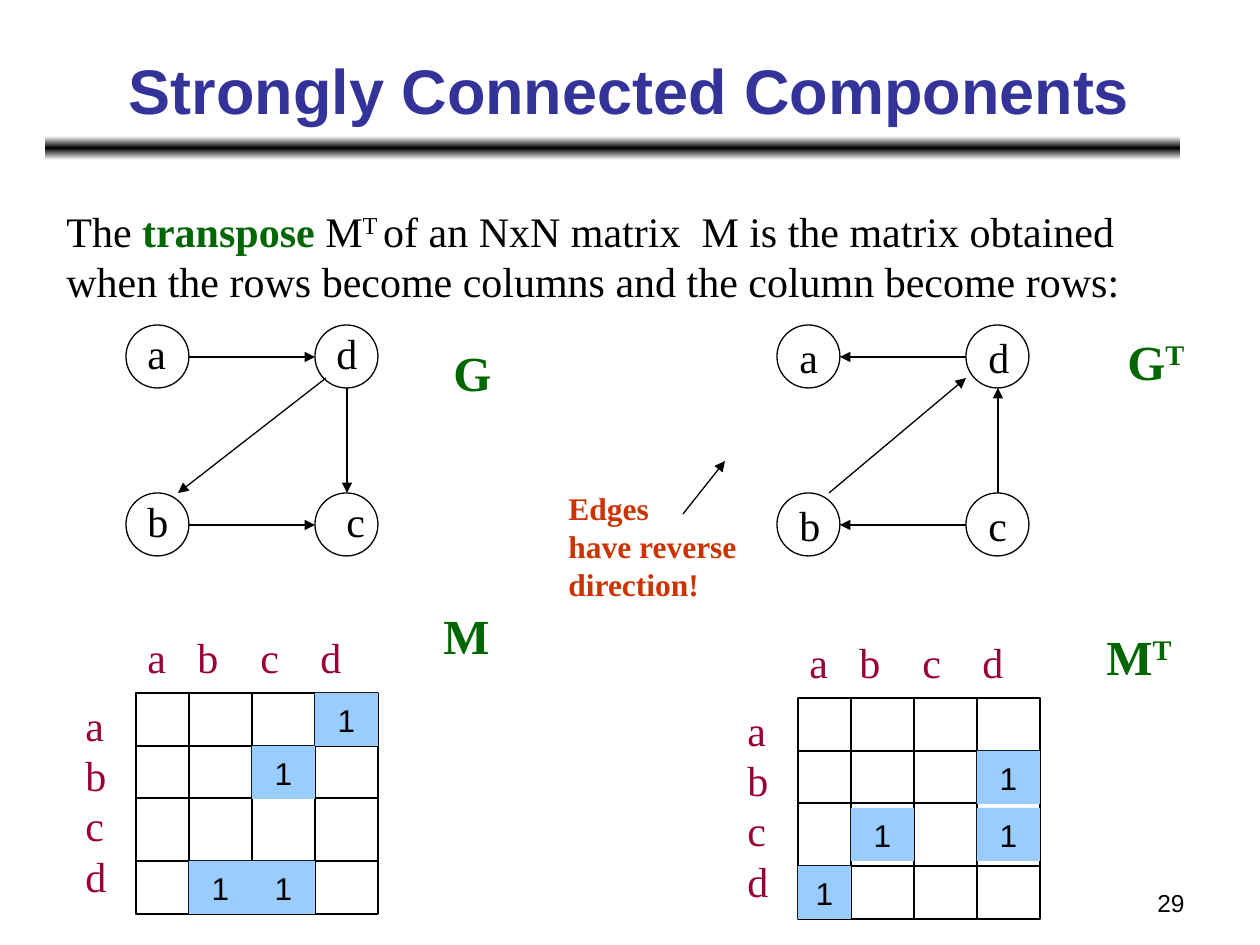
import copy
import itertools

import pptx
import pptx.dml.color
import pptx.enum.shapes
import pptx.enum.text
import pptx.oxml
import pptx.oxml.ns
import pptx.util

PX = 914400 / 126
SERIF, SANS = "Times New Roman", "Arial"
COLORS = {
    "ink": "000000",
    "paper": "FFFFFF",
    "title": "333399",
    "green": "006600",
    "label": "990033",
    "note": "CC3300",
    "mark": "99CCFF",
}
SHAPE = pptx.enum.shapes.MSO_SHAPE
ALIGN = pptx.enum.text.PP_ALIGN
MIDDLE = pptx.enum.text.MSO_ANCHOR.MIDDLE
GROW = pptx.enum.text.MSO_AUTO_SIZE.SHAPE_TO_FIT_TEXT
qn = pptx.oxml.ns.qn


def px(n):
    return pptx.util.Emu(round(n * PX))


def rgb(name):
    return pptx.dml.color.RGBColor.from_string(COLORS[name])


def add_run(p, text, size=24, font=SERIF, color="ink", bold=False, sup=False):
    r = p.add_run()
    r.text = text
    r.font.size = pptx.util.Pt(size)
    r.font.name = font
    r.font.bold = bold
    r.font.color.rgb = rgb(color)
    if sup:
        r._r.get_or_add_rPr().set("baseline", "30000")


class Deck:
    def __init__(self, width, height):
        self.prs = pptx.Presentation()
        self.prs.slide_width, self.prs.slide_height = px(width), px(height)
        self.s = self.prs.slides.add_slide(self.prs.slide_layouts[6])

    def fill_text(self, sp, lines, align=None, anchor=None, wrap=False, tabs=(), **fmt):
        tf = sp.text_frame
        tf.word_wrap = wrap
        if anchor is not None:
            tf.vertical_anchor = anchor
        for i, line in enumerate(lines):
            p = tf.paragraphs[0] if i == 0 else tf.add_paragraph()
            p.alignment = align
            if tabs:
                tab_list = p._p.get_or_add_pPr().makeelement(qn("a:tabLst"), {})
                for pos in tabs:
                    tab = tab_list.makeelement(qn("a:tab"), {"pos": str(px(pos)), "algn": "l"})
                    tab_list.append(tab)
                p._p.get_or_add_pPr().append(tab_list)
            runs = [(line, {})] if isinstance(line, str) else line
            for text, own in runs:
                add_run(p, text, **{**fmt, **own})

    def text(self, x, y, w, h, lines, wrap=False, **fmt):
        sp = self.s.shapes.add_textbox(px(x), px(y), px(w), px(h))
        self.fill_text(sp, lines, wrap=wrap, **fmt)
        if not wrap:
            sp.text_frame.auto_size = GROW

    def shape(self, kind, x, y, w, h, fill=None, line=None):
        sp = self.s.shapes.add_shape(kind, px(x), px(y), px(w), px(h))
        sp.shadow.inherit = False
        if fill:
            sp.fill.solid()
            sp.fill.fore_color.rgb = rgb(fill)
        else:
            sp.fill.background()
        if line:
            sp.line.color.rgb = rgb(line)
            sp.line.width = pptx.util.Pt(0.75)
        else:
            sp.line.fill.background()
        return sp

    def gradient_bar(self, x, y, w, h, colors):
        sp = self.shape(SHAPE.ROUNDED_RECTANGLE, x, y, w, h)
        sp.fill.gradient()
        sp.fill.gradient_angle = 270
        stops = sp._element.spPr.find(".//" + qn("a:gsLst"))
        while len(stops) < len(colors):
            stops.append(copy.deepcopy(stops[0]))
        for i, (stop, color) in enumerate(zip(sp.fill.gradient_stops, colors)):
            stop.position = i / (len(colors) - 1)
            stop.color.rgb = rgb(color)

    def line(self, x1, y1, x2, y2, arrow=False):
        straight = pptx.enum.shapes.MSO_CONNECTOR.STRAIGHT
        sp = self.s.shapes.add_connector(straight, px(x1), px(y1), px(x2), px(y2))
        sp.line.color.rgb = rgb("ink")
        sp.line.width = pptx.util.Pt(0.75)
        if arrow:
            ln = sp.line._get_or_add_ln()
            ln.append(ln.makeelement(qn("a:tailEnd"), {"type": "triangle"}))
        spPr = sp._element.spPr
        spPr.append(spPr.makeelement(qn("a:effectLst"), {}))

    def graph(self, x, y, edges, labels):
        size, dx, dy = 63, 189, 168
        for cx, cy in itertools.product((0, dx), (0, dy)):
            self.shape(SHAPE.OVAL, x + cx, y + cy, size, size, line="ink")
        for x1, y1, x2, y2 in edges:
            self.line(x + x1, y + y1, x + x2, y + y2, arrow=True)
        for name, lx, ly in labels:
            self.text(x + lx, y + ly, 45, 63, [name])

    def matrix(self, x, y, ones):
        cols, rows = (0, 53, 116, 179, 242), (0, 53, 105, 168, 221)
        mark_h = 53
        self.shape(SHAPE.RECTANGLE, x, y, cols[-1], rows[-1], line="ink")
        for c in cols[1:-1]:
            self.line(x + c, y, x + c, y + rows[-1])
        for r in rows[1:-1]:
            self.line(x, y + r, x + cols[-1], y + r)
        self.text(x - 1, y - 68, 219, 63, ["a\tb\tc\td"], tabs=(50, 113, 173), color="label")
        self.text(x - 63, y, 45, 214, "abcd", color="label")
        for r, c in ones:
            top = rows[r] + round((rows[r + 1] - rows[r] - mark_h) / 2)
            sp = self.shape(SHAPE.RECTANGLE, x + cols[c], y + top,
                            cols[c + 1] - cols[c], mark_h, fill="mark")
            self.fill_text(sp, ["1"], align=ALIGN.CENTER, anchor=MIDDLE, size=18, font=SANS)


def main():
    deck = Deck(1260, 945)
    deck.gradient_bar(45, 136, 1135, 24, ("paper", "ink", "paper"))
    deck.text(94, 10, 1071, 158, ["Strongly Connected Components"], align=ALIGN.CENTER,
              anchor=MIDDLE, wrap=True, size=36, font=SANS, color="title", bold=True)
    deck.text(54, 199, 1084, 113, [
        [("The ", {}), ("transpose", {"color": "green", "bold": True}), (" M", {}),
         ("T ", {"sup": True}), ("of an NxN matrix  M is the matrix obtained", {})],
        "when the rows become columns and the column become rows:",
    ])

    deck.graph(126, 325,
               [(63, 32, 189, 32), (200, 53, 52, 168), (63, 200, 189, 200), (221, 63, 221, 168)],
               [("a", 9, -4), ("b", 9, 164), ("c", 208, 164), ("d", 198, -4)])
    deck.graph(777, 325,
               [(189, 32, 63, 32), (52, 168, 189, 53), (189, 200, 63, 200), (221, 168, 221, 63)],
               [("a", 10, 0), ("b", 10, 168), ("c", 199, 168), ("d", 199, 0)])
    deck.matrix(136, 693, [(0, 3), (1, 2), (3, 1), (3, 2)])
    deck.matrix(798, 698, [(1, 3), (2, 1), (2, 3), (3, 0)])

    for x, y, w, name, power in [(441, 336, 63, "G", ""), (1115, 325, 84, "G", "T"),
                                 (431, 599, 72, "M", ""), (1094, 620, 92, "M", "T")]:
        runs = [(name, {})] + ([(power, {"sup": True})] if power else [])
        deck.text(x, y, w, 72, [runs], size=28, color="green", bold=True)

    deck.line(683, 514, 725, 461, arrow=True)
    deck.text(556, 483, 194, 126, ["Edges", "have reverse", "direction!"],
              size=18, color="note", bold=True)
    deck.text(903, 882, 294, 44, ["29"], align=ALIGN.RIGHT, wrap=True, size=14, font=SANS)
    deck.prs.save("out.pptx")


if __name__ == "__main__":
    main()
